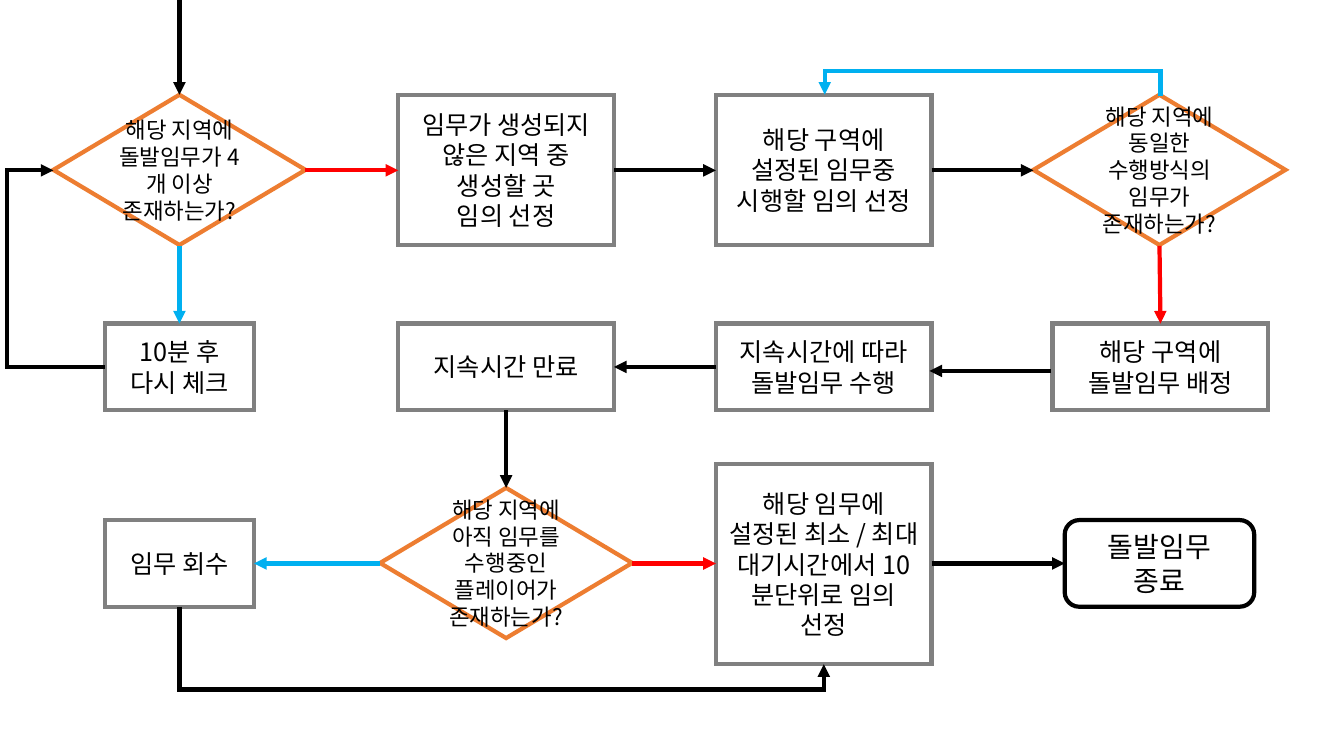
from dataclasses import dataclass
from typing import Optional

from lxml.etree import SubElement
from pptx import Presentation
from pptx.dml.color import RGBColor
from pptx.enum.shapes import MSO_CONNECTOR, MSO_SHAPE
from pptx.enum.text import MSO_ANCHOR, PP_ALIGN
from pptx.oxml.ns import qn
from pptx.util import Emu, Pt

PX = 9144  # EMU per px, 100 px to the inch
FONT = "Noto Sans CJK KR"
COLORS = {
    "black": "000000",
    "gray": "808080",
    "orange": "ED7D31",
    "yes": "00B0F0",
    "no": "FF0000",
}


@dataclass(frozen=True)
class NodeStyle:
    shape: MSO_SHAPE
    color: str
    size: int
    padded: bool = True


@dataclass(frozen=True)
class Node:
    style: NodeStyle
    x: int
    y: int
    w: int
    h: int
    text: str


@dataclass(frozen=True)
class Arrow:
    """An arrow; bend_x or bend_y is where the middle leg of an elbow runs."""
    x1: int
    y1: int
    x2: int
    y2: int
    color: str = "black"
    bend_x: Optional[int] = None
    bend_y: Optional[int] = None


STEP = NodeStyle(MSO_SHAPE.RECTANGLE, "gray", 18)
DECISION = NodeStyle(MSO_SHAPE.DIAMOND, "orange", 16, padded=False)
END = NodeStyle(MSO_SHAPE.ROUNDED_RECTANGLE, "black", 20)

COL_A, COL_B, COL_C, COL_D = 104, 395, 710, 1044
ROW_1, ROW_2, ROW_3 = 94, 321, 516
STEP_W, SMALL_W, DECISION_W = 214, 148, 250
TALL, LOW = 149, 86

NODES = [
    Node(DECISION, 53, ROW_1, DECISION_W, TALL,
         "해당 지역에\n돌발임무가 4개 이상 존재하는가?"),
    Node(STEP, COL_B, ROW_1, STEP_W, TALL,
         "임무가 생성되지 않은 지역 중\n생성할 곳\n임의 선정"),
    Node(STEP, COL_C, ROW_1, STEP_W, TALL,
         "해당 구역에 설정된 임무중 시행할 임의 선정"),
    Node(DECISION, 1025, ROW_1, DECISION_W, TALL,
         "해당 지역에 동일한 수행방식의 임무가 존재하는가?"),
    Node(STEP, COL_A, ROW_2, SMALL_W, LOW, "10분 후\n다시 체크"),
    Node(STEP, COL_B, ROW_2, STEP_W, LOW, "지속시간 만료"),
    Node(STEP, COL_C, ROW_2, STEP_W, LOW, "지속시간에 따라\n돌발임무 수행"),
    Node(STEP, COL_D, ROW_2, STEP_W, LOW, "해당 구역에 돌발임무 배정"),
    Node(STEP, COL_A, ROW_3, SMALL_W, LOW, "임무 회수"),
    Node(DECISION, 377, 484, DECISION_W, TALL,
         "해당 지역에 아직 임무를 수행중인 플레이어가 존재하는가?"),
    Node(STEP, COL_C, 460, STEP_W, 199,
         "해당 임무에 설정된 최소 / 최대 대기시간에서 10분단위로 임의 선정"),
    Node(END, 1056, ROW_3, 188, LOW, "돌발임무\n종료"),
]

ARROWS = [
    Arrow(178, 0, 178, 94),
    Arrow(178, 244, 178, 321, "yes"),
    Arrow(303, 169, 395, 169, "no"),
    Arrow(104, 364, 53, 169, bend_x=7),
    Arrow(609, 169, 710, 169),
    Arrow(924, 169, 1025, 169),
    Arrow(1151, 95, 818, 94, "yes", bend_y=70),
    Arrow(1150, 244, 1151, 321, "no"),
    Arrow(1042, 368, 922, 368),
    Arrow(710, 364, 609, 364),
    Arrow(502, 407, 502, 484),
    Arrow(377, 559, 252, 559, "yes"),
    Arrow(627, 559, 710, 559, "no"),
    Arrow(924, 559, 1056, 559),
    Arrow(178, 602, 817, 659, bend_y=684),
]


def px(n: float) -> Emu:
    return Emu(round(n * PX))


def rgb(name: str) -> RGBColor:
    return RGBColor.from_string(COLORS[name])


def style_line(line, color: str):
    """Set colour, width and sharp corners; return the line element."""
    line.color.rgb = rgb(color)
    line.width = Pt(3)
    ln = line._get_or_add_ln()
    SubElement(ln, qn("a:miter"), lim="800000")
    return ln


def draw_node(slide, node: Node) -> None:
    s = slide.shapes.add_shape(node.style.shape, px(node.x), px(node.y),
                               px(node.w), px(node.h))
    s.shadow.inherit = False
    s.fill.background()
    style_line(s.line, node.style.color)
    tf = s.text_frame
    tf.word_wrap = True
    tf.vertical_anchor = MSO_ANCHOR.MIDDLE
    if not node.style.padded:
        tf.margin_left = tf.margin_right = tf.margin_top = tf.margin_bottom = 0
    tf.text = node.text
    for p in tf.paragraphs:
        p.alignment = PP_ALIGN.CENTER
        for r in p.runs:
            r.font.size = Pt(node.style.size)
            r.font.name = FONT
            r.font.color.rgb = rgb("black")
            SubElement(r.font._element, qn("a:ea"), typeface=FONT)


def draw_arrow(slide, arrow: Arrow) -> None:
    x1, y1, x2, y2 = arrow.x1, arrow.y1, arrow.x2, arrow.y2
    kind, bend = MSO_CONNECTOR.ELBOW, None
    if arrow.bend_x is not None:
        bend = (arrow.bend_x - x1) / (x2 - x1)
    elif arrow.bend_y is not None:
        bend = (arrow.bend_y - y1) / (y2 - y1)
        # Lay the elbow on its side; the 270 degree turn sets it upright.
        cx, cy, dx, dy = (x1 + x2) / 2, (y1 + y2) / 2, x2 - x1, y2 - y1
        x1, x2 = cx + dy / 2, cx - dy / 2
        y1, y2 = cy - dx / 2, cy + dx / 2
    else:
        kind = MSO_CONNECTOR.STRAIGHT
    s = slide.shapes.add_connector(kind, px(x1), px(y1), px(x2), px(y2))
    sp_pr = s._element.spPr
    if bend is not None:
        guides = sp_pr.find(qn("a:prstGeom")).get_or_add_avLst()
        SubElement(guides, qn("a:gd"), name="adj1",
                   fmla=f"val {round(bend * 100000)}")
    if arrow.bend_y is not None:
        sp_pr.find(qn("a:xfrm")).set("rot", str(270 * 60000))
    ln = style_line(s.line, arrow.color)
    SubElement(ln, qn("a:tailEnd"), type="triangle")
    SubElement(sp_pr, qn("a:effectLst"))


def main() -> None:
    prs = Presentation()
    prs.slide_width, prs.slide_height = px(1333), px(750)
    slide = prs.slides.add_slide(prs.slide_layouts[6])
    for node in NODES:
        draw_node(slide, node)
    for arrow in ARROWS:
        draw_arrow(slide, arrow)
    prs.save("out.pptx")


if __name__ == "__main__":
    main()
